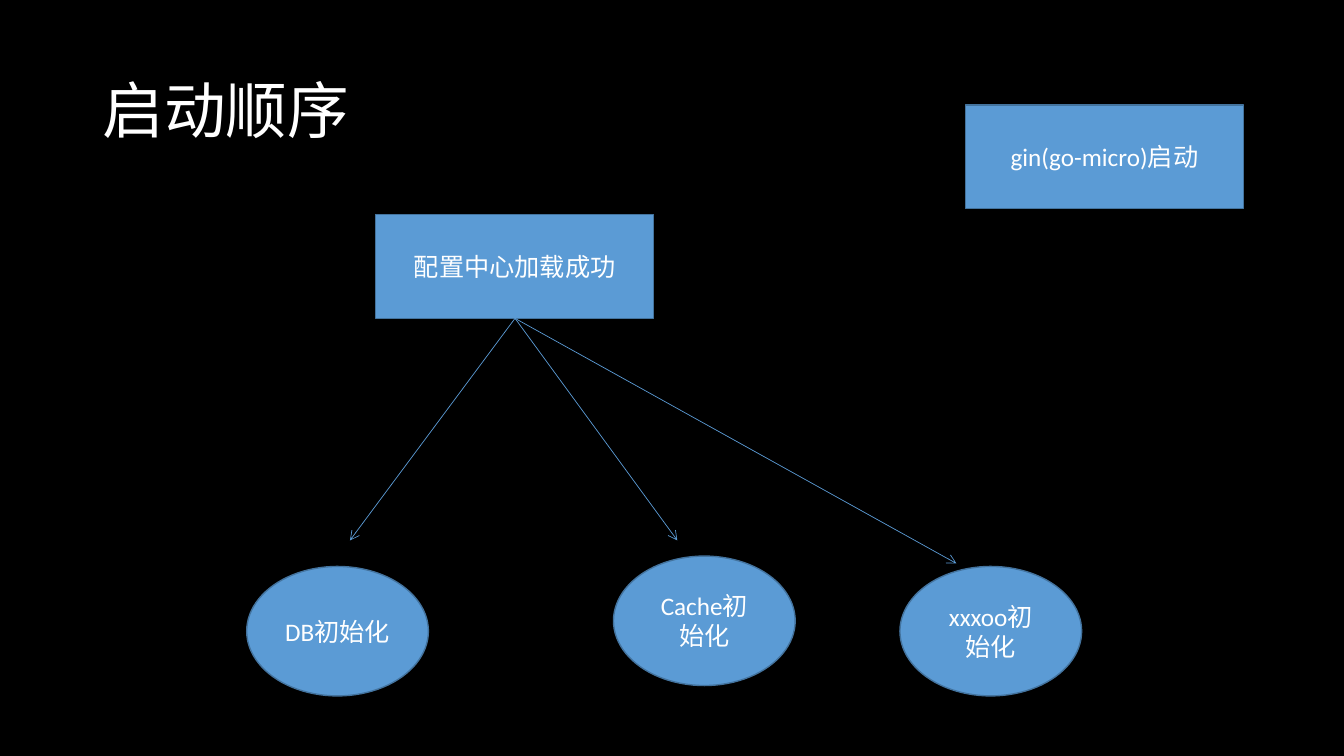
import pptx
import pptx.util
import pptx.dml.color
import pptx.enum.shapes
import pptx.enum.text
import pptx.oxml.ns
import lxml.etree

Pt = pptx.util.Pt
MSO_SHAPE = pptx.enum.shapes.MSO_SHAPE
ANCHOR = pptx.enum.text.MSO_ANCHOR
ALIGN = pptx.enum.text.PP_ALIGN


def color(fmt, value):
    fmt.rgb = pptx.dml.color.RGBColor.from_string(value)


def write(sp, text, size, align, spacing):
    tf = sp.text_frame
    p = tf.paragraphs[0]
    r = p.add_run()
    formats = [
        (tf, {"word_wrap": True, "vertical_anchor": ANCHOR.MIDDLE}),
        (p, {"alignment": align, "line_spacing": spacing}),
        (r, {"text": text}),
        (r.font, {"name": "Calibri", "size": Pt(size)}),
    ]
    for obj, values in formats:
        for name, value in values.items():
            setattr(obj, name, value)
    color(r.font.color, "FFFFFF")


prs = pptx.Presentation()
prs.slide_width, prs.slide_height = Pt(960), Pt(540)
s = prs.slides.add_slide(prs.slide_layouts[5])
s.background.fill.solid()
color(s.background.fill.fore_color, "000000")

title = s.shapes.title
box = {"left": 66, "top": 28.75, "width": 828, "height": 104.4}
for name, value in box.items():
    setattr(title, name, Pt(value))
write(title, "启动顺序", 44, ALIGN.LEFT, 0.9)

rect, oval = MSO_SHAPE.RECTANGLE, MSO_SHAPE.OVAL
sizes = {rect: (198.5, 74.2), oval: (129.8, 92.5)}
nodes = [
    (rect, 268.4, 153.2, "配置中心加载成功"),
    (oval, 176.2, 404.6, "DB初始化"),
    (oval, 438.2, 397.2, "Cache初始化"),
    (oval, 642.8, 404.6, "xxxoo初始化"),
    (rect, 689.6, 74.9, "gin(go-micro)启动"),
]
for kind, x, y, text in nodes:
    w, h = sizes[kind]
    sp = s.shapes.add_shape(kind, Pt(x), Pt(y), Pt(w), Pt(h))
    sp.shadow.inherit = False
    sp.fill.solid()
    color(sp.fill.fore_color, "5B9BD5")
    color(sp.line.color, "43739E")
    sp.line.width = Pt(1)
    write(sp, text, 18, ALIGN.CENTER, 1.0)

for x, y in [(250, 386), (483.8, 386), (683.2, 402.5)]:
    arrow = s.shapes.add_connector(
        pptx.enum.shapes.MSO_CONNECTOR.STRAIGHT, Pt(367.9), Pt(227.4), Pt(x), Pt(y)
    )
    color(arrow.line.color, "5B9BD5")
    arrow.line.width = Pt(0.5)
    qn = pptx.oxml.ns.qn
    ln = arrow.line._get_or_add_ln()
    lxml.etree.SubElement(ln, qn("a:tailEnd"), type="arrow")
    lxml.etree.SubElement(ln.getparent(), qn("a:effectLst"))

prs.save("out.pptx")
